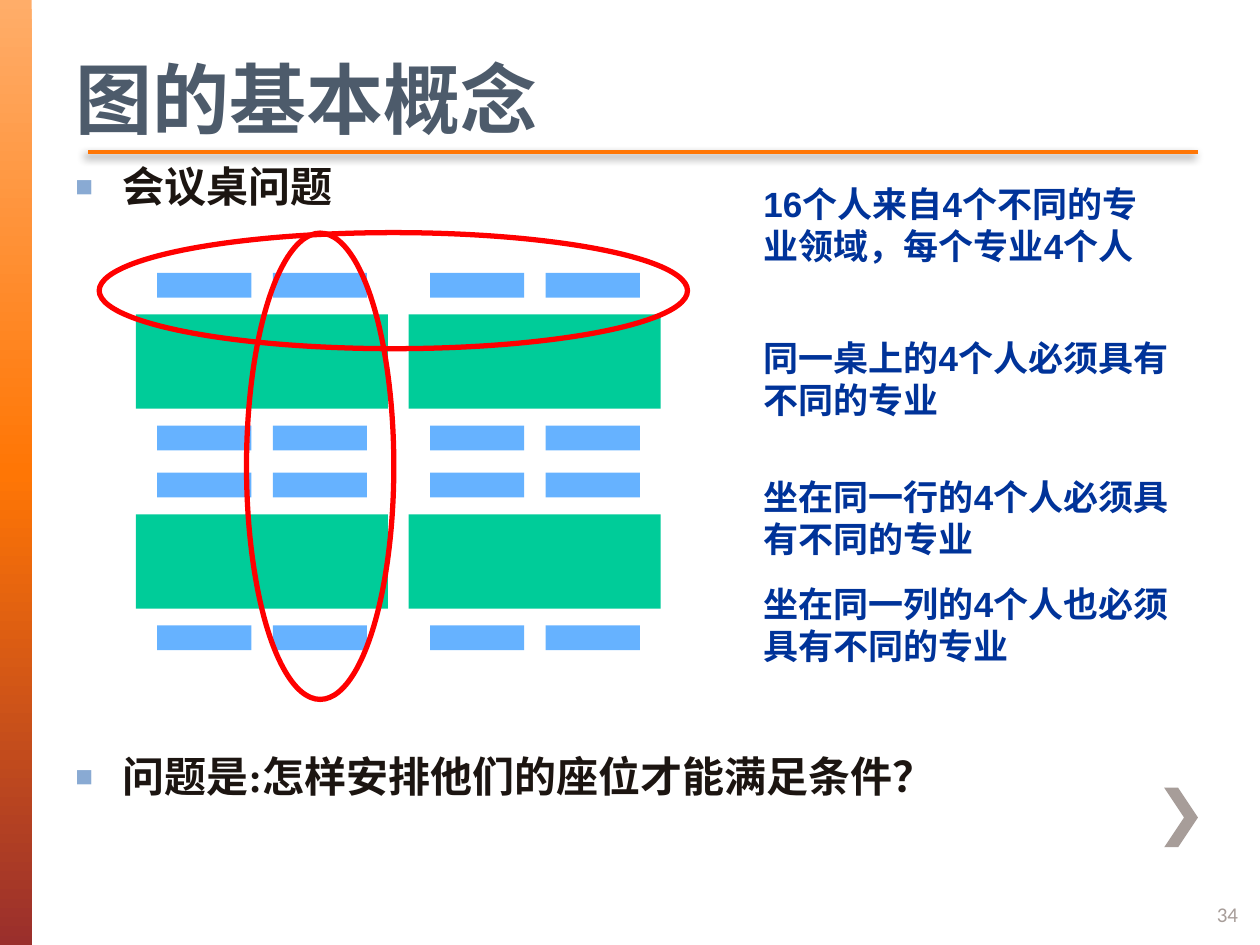
from lxml import etree
from pptx import Presentation
from pptx.dml.color import RGBColor
from pptx.enum.shapes import MSO_CONNECTOR, MSO_SHAPE
from pptx.enum.text import MSO_ANCHOR
from pptx.oxml import parse_xml
from pptx.oxml.ns import nsdecls, qn
from pptx.util import Cm, Pt

RECTANGLE, OVAL = MSO_SHAPE.RECTANGLE, MSO_SHAPE.OVAL
STRAIGHT = MSO_CONNECTOR.STRAIGHT
TOP, MIDDLE = MSO_ANCHOR.TOP, MSO_ANCHOR.MIDDLE

ORANGE = RGBColor(0xFF, 0x76, 0x05)
LIGHT_ORANGE = RGBColor(0xFF, 0xAD, 0x69)
DARK_RED = RGBColor(0x9A, 0x2F, 0x2C)
GREY = RGBColor(0xA7, 0x9D, 0x99)
SLATE = RGBColor(0x4D, 0x5B, 0x6B)
INK = RGBColor(0x1C, 0x15, 0x11)
BULLET_BLUE = RGBColor(0x89, 0xAA, 0xD3)
NOTE_BLUE = RGBColor(0x00, 0x33, 0x99)
TABLE_GREEN = RGBColor(0x00, 0xCC, 0x99)
SEAT_BLUE = RGBColor(0x33, 0x99, 0xFF)
RED = RGBColor(0xFF, 0x00, 0x00)

SLIDE_WIDTH, SLIDE_HEIGHT = 25.4, 19.05
NOTES = [
    (3.56, "16个人来自4个不同的专业领域，每个专业4个人"),
    (6.65, "同一桌上的4个人必须具有不同的专业"),
    (9.47, "坐在同一行的4个人必须具有不同的专业"),
    (11.61, "坐在同一列的4个人也必须具有不同的专业"),
]


def add_block(slide, left, top, width, height, color):
    block = slide.shapes.add_shape(RECTANGLE, Cm(left), Cm(top), Cm(width), Cm(height))
    block.shadow.inherit = False
    block.fill.solid()
    block.fill.fore_color.rgb = color
    block.line.fill.background()
    return block


def add_text(slide, box, text, font_name, size, color, bold=True, anchor=TOP):
    text_box = slide.shapes.add_textbox(*(Cm(length) for length in box))
    frame = text_box.text_frame
    frame.word_wrap = True
    frame.vertical_anchor = anchor
    frame.text = text
    paragraph = frame.paragraphs[0]
    for run in paragraph.runs:
        run.font.name = font_name
        run.font.size = Pt(size)
        run.font.bold = bold
        run.font.color.rgb = color
    return paragraph


def add_bullet(slide, left, top, width, text):
    paragraph = add_text(slide, (left, top, width, 1.2), text, "Times New Roman", 24, INK)
    paragraph.line_spacing = 0.9
    properties = paragraph._p.get_or_add_pPr()
    properties.set("marL", str(Cm(0.95)))
    properties.set("indent", str(-Cm(0.95)))
    color = etree.SubElement(properties, qn("a:buClr"))
    etree.SubElement(color, qn("a:srgbClr"), val=str(BULLET_BLUE))
    etree.SubElement(properties, qn("a:buSzPct"), val="70000")
    etree.SubElement(properties, qn("a:buFont"), typeface="Arial")
    etree.SubElement(properties, qn("a:buChar"), char="■")


def add_side_bar(slide, left, top, width, height):
    bar = add_block(slide, left, top, width, height, ORANGE)
    stops = "".join(
        f'<a:gs pos="{position}"><a:srgbClr val="{color}"/></a:gs>'
        for position, color in ((0, LIGHT_ORANGE), (50000, ORANGE), (100000, DARK_RED))
    )
    solid_fill = bar._element.spPr.find(qn("a:solidFill"))
    solid_fill.getparent().replace(solid_fill, parse_xml(
        f'<a:gradFill {nsdecls("a")}><a:gsLst>{stops}</a:gsLst>'
        '<a:lin ang="5400000" scaled="0"/></a:gradFill>'))


def add_title(slide, left, top, width):
    add_text(slide, (left, top, width, 2.0), "图的基本概念", "Calibri", 44, SLATE)
    rule_y = Cm(top + 2.16)
    rule = slide.shapes.add_connector(
        STRAIGHT, Cm(left + 0.51), rule_y, Cm(left + width + 0.03), rule_y)
    rule.line.color.rgb = ORANGE
    rule.line.width = Pt(2.5)
    rule._element.spPr.append(parse_xml(
        f'<a:effectLst {nsdecls("a")}>'
        f'<a:outerShdw blurRad="{Pt(5)}" dist="{Pt(3)}" dir="8100000" rotWithShape="0">'
        '<a:srgbClr val="000000"><a:alpha val="45000"/></a:srgbClr>'
        '</a:outerShdw></a:effectLst>'))


def add_chevron(slide, left, top, width, height, thickness):
    middle = top + height / 2
    points = [
        (left, top), (left + thickness, top), (left + width, middle),
        (left + thickness, top + height), (left, top + height),
        (left + width - thickness, middle),
    ]
    (start_x, start_y), *rest = [(Cm(x), Cm(y)) for x, y in points]
    builder = slide.shapes.build_freeform(start_x, start_y)
    builder.add_line_segments(rest, close=True)
    chevron = builder.convert_to_shape()
    chevron.shadow.inherit = False
    chevron.fill.solid()
    chevron.fill.fore_color.rgb = GREY
    chevron.line.fill.background()


def add_table_with_seats(slide, left, top):
    """Place one table with two seats above it and two below."""
    add_block(slide, left, top + 0.84, 5.08, 1.9, TABLE_GREEN)
    for seat_y in (top, top + 3.08):
        for seat_x in (left + 0.43, left + 2.76):
            seat = add_block(slide, seat_x, seat_y, 1.9, 0.5, SEAT_BLUE)
            color = seat._element.spPr.find(qn("a:solidFill"))[0]
            etree.SubElement(color, qn("a:alpha"), val="75000")


def add_ring(slide, left, top, width, height):
    ring = slide.shapes.add_shape(OVAL, Cm(left), Cm(top), Cm(width), Cm(height))
    ring.shadow.inherit = False
    ring.fill.background()
    ring.line.color.rgb = RED
    ring.line.width = Pt(3)


def add_seating_plan(slide, left, top):
    """Draw four tables and ring one row and one column of seats."""
    for row in range(2):
        for column in range(2):
            add_table_with_seats(slide, left + column * 5.5, top + row * 4.03)
    add_ring(slide, left - 0.74, top - 0.81, 11.86, 2.34)
    add_ring(slide, left + 2.23, top - 0.8, 2.97, 9.4)


def add_notes_column(slide, left, width):
    for top, text in NOTES:
        add_text(slide, (left, top, width, 1.96), text, "Arial", 20, NOTE_BLUE)


def main():
    presentation = Presentation()
    presentation.slide_width = Cm(SLIDE_WIDTH)
    presentation.slide_height = Cm(SLIDE_HEIGHT)
    slide = presentation.slides.add_slide(presentation.slide_layouts[6])

    add_side_bar(slide, 0, 0, 0.64, SLIDE_HEIGHT)
    add_chevron(slide, 23.47, 15.88, 0.68, 1.2, 0.28)
    add_title(slide, 1.27, 0.91, 22.86)
    add_bullet(slide, 1.27, 3.23, 12, "会议桌问题")
    add_seating_plan(slide, 2.74, 5.5)
    add_notes_column(slide, 15.14, 8.69)
    add_bullet(slide, 1.27, 15.12, 22.86, "问题是:怎样安排他们的座位才能满足条件？")
    add_text(slide, (24.28, 17.91, 1.07, 1.02), "34", "Calibri", 12, GREY,
             bold=False, anchor=MIDDLE)
    presentation.save("out.pptx")


if __name__ == "__main__":
    main()
